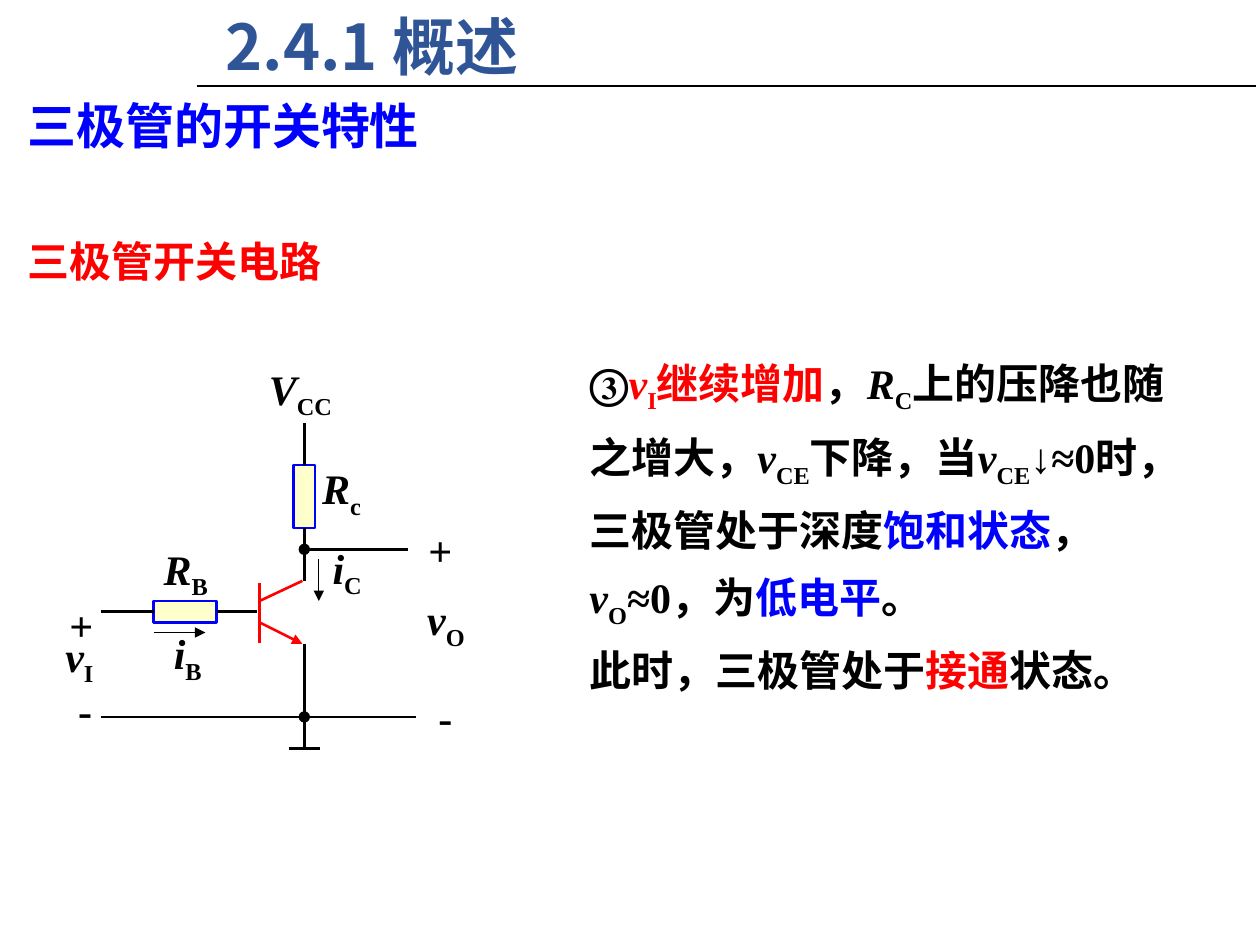
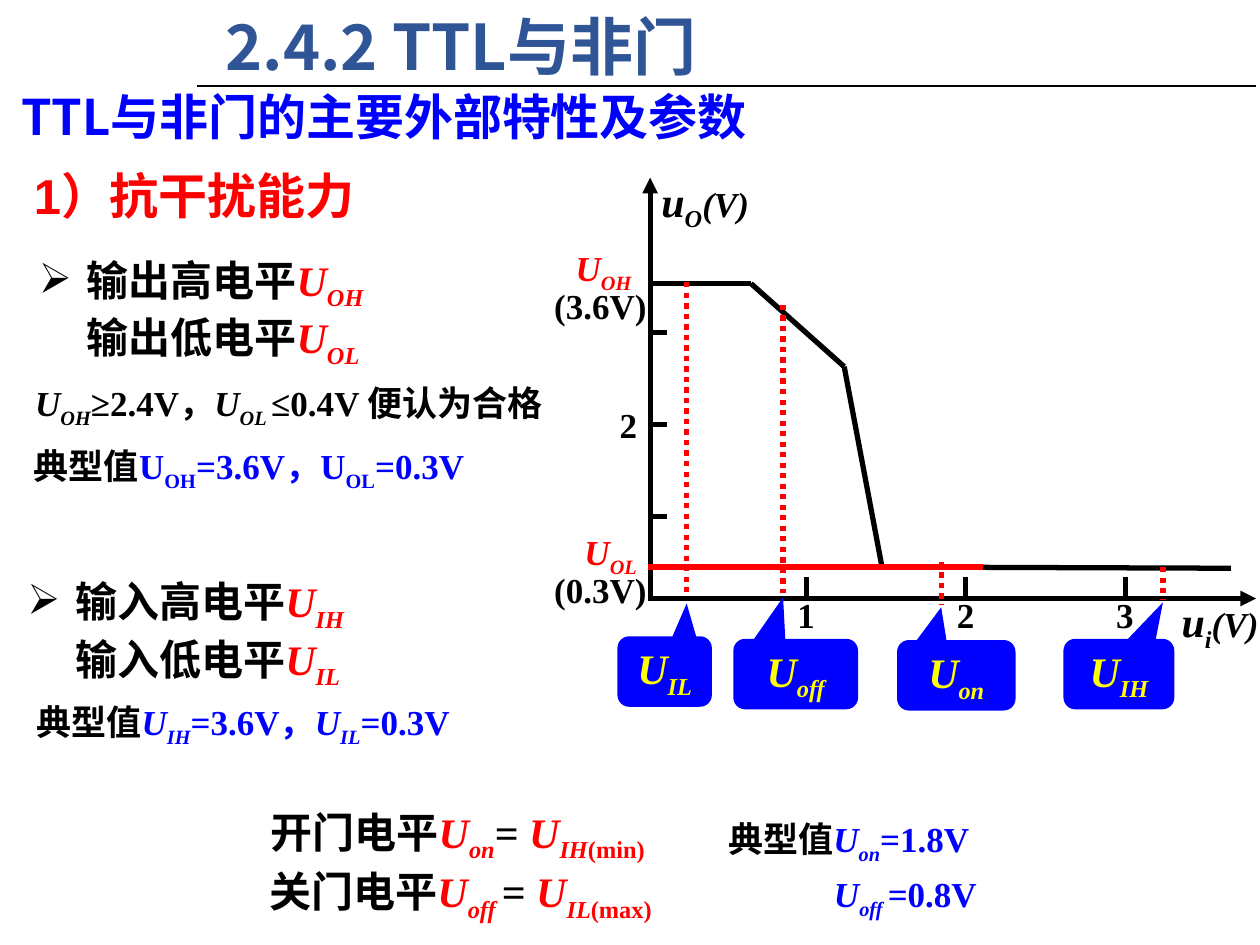
from itertools import groupby

from lxml import etree
from pptx import Presentation
from pptx import util as u
from pptx.dml.color import RGBColor
from pptx.enum import dml, shapes, text
from pptx.oxml.ns import qn

BLACK, RED, BLUE, YELLOW = "000000", "FF0000", "0000FF", "FFFF00"
TITLE_BLUE, CREAM = "2F5597", "FFFFCC"
SANS, SERIF, ARIAL = "Noto Sans CJK SC", "Times New Roman", "Arial"
COLUMNS, ROWS = 100, 75  # the slide grid; every length below is in its cells
CELL = u.Inches(0.1)
ACCENTS = {"<": RED, "{": BLUE, ">": None, "}": None}
MARKS = "*_" + "".join(ACCENTS)


def cells(*lengths):
    return [round(length * CELL) for length in lengths]


def colour(hex_string):
    return RGBColor.from_string(hex_string)


def add_child(parent, tag, **attributes):
    return etree.SubElement(parent, qn(tag), attributes)


def add_runs(paragraph, marked):
    """Marks: *italic*, _subscript_, <red>, {blue}."""
    italic = subscript = False
    accent = None
    for is_mark, group in groupby(marked, lambda letter: letter in MARKS):
        letters = "".join(group)
        if not is_mark:
            run = paragraph.add_run()
            run.text = letters
            if italic:
                run.font.italic = True
            if accent:
                run.font.color.rgb = colour(accent)
            if subscript:
                run._r.get_or_add_rPr().set("baseline", "-25000")
            continue
        for mark in letters:
            if mark == "*":
                italic = not italic
            elif mark == "_":
                subscript = not subscript
            else:
                accent = ACCENTS[mark]


def style_paragraph(paragraph, size, ink, font):
    paragraph.font.size = u.Pt(size)
    paragraph.font.bold = True
    paragraph.font.name = font
    paragraph.font.color.rgb = colour(ink)
    add_child(paragraph.font._element, "a:ea", typeface=SANS)


def indent(paragraph, left, bullet=None):
    properties = paragraph._p.get_or_add_pPr()
    margin = cells(left)[0]
    properties.set("marL", str(margin))
    if bullet:
        properties.set("indent", str(-margin))
        add_child(properties, "a:buChar", char=bullet)


def add_text(slide, box, *lines, size=24, ink=BLACK, font=SERIF, middle=False,
             centred=False, wrap=True, spacing=None, gap=0, indents=(), bullet=None):
    """One paragraph per line; indents pairs with lines, the first taking the bullet."""
    frame = slide.shapes.add_textbox(*cells(*box)).text_frame
    frame.word_wrap = wrap
    if middle:
        frame.vertical_anchor = text.MSO_ANCHOR.MIDDLE
    for index, line in enumerate(lines):
        paragraph = frame.add_paragraph() if index else frame.paragraphs[0]
        if centred:
            paragraph.alignment = text.PP_ALIGN.CENTER
        if spacing:
            paragraph.line_spacing = spacing
        if index and gap:
            paragraph.space_before = u.Pt(gap)
        if indents:
            indent(paragraph, indents[index], None if index else bullet)
        add_runs(paragraph, line)
        style_paragraph(paragraph, size, ink, font)


def add_line(slide, start, end, ink=BLACK, width=1.5, arrow=False, dotted=False):
    line = slide.shapes.add_connector(shapes.MSO_CONNECTOR.STRAIGHT, *cells(*start, *end))
    line.line.color.rgb = colour(ink)
    line.line.width = u.Pt(width)
    if dotted:
        line.line.dash_style = dml.MSO_LINE.ROUND_DOT
    if arrow:
        add_child(line.line._get_or_add_ln(), "a:tailEnd", type="triangle")
    add_child(line._element.spPr, "a:effectLst")
    return line


def add_preset(slide, kind, box, fill, ink=None, width=1.5):
    shape = slide.shapes.add_shape(kind, *cells(*box))
    shape.shadow.inherit = False
    shape.fill.solid()
    shape.fill.fore_color.rgb = colour(fill)
    if ink:
        shape.line.color.rgb = colour(ink)
        shape.line.width = u.Pt(width)
    else:
        shape.line.fill.background()
    return shape


def add_titled_slide(presentation, title):
    slide = presentation.slides.add_slide(presentation.slide_layouts[6])
    add_line(slide, (15.6, 6.8), (99.7, 6.8), width=1.25)
    add_text(slide, (16.9, 0.1, 82.8, 7.1), title, size=36, ink=TITLE_BLUE, font=SANS)
    return slide


def add_symbol(slide, left, top, width, symbol):
    add_text(slide, (left, top, width, 5), symbol, middle=True, centred=True, wrap=False)


def add_resistor(slide, box):
    return add_preset(slide, shapes.MSO_SHAPE.RECTANGLE, box, CREAM, BLUE)


def add_node(slide, x, y):
    add_preset(slide, shapes.MSO_SHAPE.OVAL, (x - 0.4, y - 0.4, 0.8, 0.8), BLACK, BLACK, 0.75)


def draw_switch_circuit(slide):
    main_x, base_x, input_y, output_y, ground_y = 24.15, 20.6, 48.55, 43.6, 56.9
    collector_resistor = add_resistor(slide, (23.3, 36.9, 1.7, 5))
    base_resistor = add_resistor(slide, (12.2, 47.7, 5, 1.7))
    for resistor, side, start, end in (
        (collector_resistor, 0, (main_x, 36.9), (main_x, 33.6)),
        (collector_resistor, 2, (main_x, 41.9), (main_x, 46.1)),
        (base_resistor, 1, (12.2, input_y), (8, input_y)),
        (base_resistor, 3, (17.2, input_y), (20.4, input_y)),
    ):
        add_line(slide, start, end).begin_connect(resistor, side)
    for start, end in (
        ((main_x, 51.1), (main_x, 59.4)),
        ((8, ground_y), (33, ground_y)),
        ((main_x, output_y), (32.4, output_y)),
        ((22.9, 59.4), (25.4, 59.4)),
    ):
        add_line(slide, start, end)
    add_line(slide, (base_x, 46.3), (base_x, 51), RED)
    add_line(slide, (base_x, 47.7), (24, 46.1), RED)
    add_line(slide, (base_x, 49.4), (24, 51.1), RED, arrow=True)
    add_line(slide, (12.2, 50.2), (16.3, 50.2), width=0.75, arrow=True)
    add_line(slide, (25.3, 44.4), (25.3, 47.7), width=0.75, arrow=True)
    for node_y in (output_y, ground_y):
        add_node(slide, main_x, node_y)
    for left, top, width, symbol in (
        (2, 49.8, 8.6, "*v*_I_"), (31.1, 46.9, 8.6, "*v*_O_"),
        (19.7, 28.6, 8.3, "*V*_CC_"), (24.5, 36.5, 5.2, "*R*_c_"),
        (11.9, 42.9, 5.7, "*R*_B_"), (25.3, 42.8, 4.5, "*i*_C_"),
        (12.7, 49.6, 4.4, "*i*_B_"), (4.5, 47.1, 3.9, "+"),
        (5.2, 53.8, 3.1, "-"), (33, 41.1, 3.9, "+"), (33.8, 54.4, 3.1, "-"),
    ):
        add_symbol(slide, left, top, width, symbol)


def add_level_callout(slide, symbol, box, marker_x, marker_top, marker_bottom, tip_y):
    """A dotted marker and a callout whose tip points at it."""
    add_line(slide, (marker_x, marker_top), (marker_x, marker_bottom), RED, 3, dotted=True)
    callout = add_preset(slide, shapes.MSO_SHAPE.ROUNDED_RECTANGULAR_CALLOUT, box, BLUE)
    left, top, width, height = box
    callout.adjustments[0] = (marker_x - left) / width - 0.5
    callout.adjustments[1] = (tip_y - top) / height - 0.5
    frame = callout.text_frame
    frame.vertical_anchor = text.MSO_ANCHOR.MIDDLE
    paragraph = frame.paragraphs[0]
    paragraph.alignment = text.PP_ALIGN.CENTER
    add_runs(paragraph, symbol)
    style_paragraph(paragraph, 24, YELLOW, SERIF)


def draw_transfer_curve(slide):
    axis_x, axis_y, low_y, high_y = 51.6, 47.5, 45, 22.5
    add_line(slide, (axis_x, 47.7), (axis_x, 14.1), width=3, arrow=True)
    add_line(slide, (51.4, axis_y), (99.7, axis_y), width=3, arrow=True)
    for volts in (1, 2, 3):
        tick_x, tick_y = 51.35 + 12.65 * volts, 48.3 - 7.3 * volts
        add_line(slide, (axis_x, tick_y), (52.9, tick_y), width=3)
        add_line(slide, (tick_x, axis_y), (tick_x, 45.8), width=3)
        add_text(slide, (tick_x - 1.7, 46.6, 3.9, 4.3), str(volts), size=20)
    curve = [(51.4, high_y), (59.6, high_y), (67, 29.1), (70, low_y), (97.7, 45.1)]
    for start, end in zip(curve, curve[1:]):
        add_line(slide, start, end, width=3)
    add_line(slide, (51.4, low_y), (78, low_y), RED, 3)
    for box, label in (
        ((44.7, 19.1, 7.5, 4.3), "<*U_OH_*>"),
        ((45.4, 41.6, 6.8, 4.3), "<*U_OL_*>"),
        ((43, 22.1, 10.8, 4.3), "(3.6V)"),
        ((43, 44.6, 10, 4.3), "(0.3V)"),
        ((48.2, 31.5, 3.9, 4.3), "2"),
    ):
        add_text(slide, box, label, size=20)
    for box, name, subscript in (((51.5, 13.4, 11.9, 5.1), "u", "O"),
                                 ((92.8, 46.8, 9, 5.1), "u", "i")):
        add_axis_name(slide, box, f"*{name}_{subscript}_(V)*")
    for callout in (
        ("*U_IH_*", (84.4, 50.7, 8.8, 5.6), 92.3, 45, 47.6, 47.8),
        ("*U_IL_*", (49, 50.5, 7.5, 5.6), 54.5, 22.4, 47.1, 47.9),
        ("*U_on_*", (71.2, 50.8, 9.4, 5.6), 74.7, 44.6, 48, 48.2),
        ("*U_off_*", (58.2, 50.7, 9.9, 5.6), 62.15, 24.2, 47.1, 47.4),
    ):
        add_level_callout(slide, *callout)


def add_axis_name(slide, box, name):
    """The unit, the last run, is smaller than the symbol."""
    add_text(slide, box, name)
    unit = slide.shapes[-1].text_frame.paragraphs[0].runs[-1]
    unit.font.size = u.Pt(20)


def build_switch_slide(presentation):
    slide = add_titled_slide(presentation, "2.4.1 概述")
    add_text(slide, (1.2, 7.1, 48.3, 5.7), "三极管的开关特性", size=28, ink=BLUE, font=SANS)
    add_text(slide, (1.2, 18.2, 32.5, 5), "三极管开关电路", ink=RED, font=SANS)
    draw_switch_circuit(slide)
    add_text(
        slide, (45.8, 26.5, 50.6, 27.3),
        "③<*v*_I_继续增加>，*R*_C_上的压降也随之增大，*v*_CE_下降，当*v*_CE_↓≈0时，"
        "三极管处于深度{饱和状态}， *v*_O_≈0，为{低电平}。",
        "此时，三极管处于<接通>状态。", spacing=1.3)


def build_gate_slide(presentation):
    slide = add_titled_slide(presentation, "2.4.2 TTL与非门")
    add_text(slide, (0.7, 6.4, 93, 5.7), "TTL与非门的主要外部特性及参数",
             size=28, ink=BLUE, font=SANS)
    add_text(slide, (1.7, 12.2, 63.7, 6.6), "1）抗干扰能力",
             size=28, ink=RED, font=ARIAL, middle=True)
    for box, side, letter in (((2.1, 19.7, 37, 9.1), "出", "O"),
                              ((1.2, 45.2, 37, 9.1), "入", "I")):
        add_text(slide, box, f"输{side}高电平<*U_{letter}H_*>", f"输{side}低电平<*U_{letter}L_*>",
                 indents=(3.8, 3.8), bullet="➢")
    for box, note in (
        ((1.8, 29.8, 60, 4.4), "*U_OH_*≥2.4V，*U_OL _*≤0.4V 便认为合格"),
        ((1.7, 34.8, 43.1, 4.4), "典型值{U_OH_=3.6V，U_OL_=0.3V}"),
        ((1.9, 55.1, 42.7, 4.4), "典型值{*U_IH_*=3.6V，*U_IL_*=0.3V}"),
    ):
        add_text(slide, box, note, size=20)
    add_text(slide, (20.5, 63.5, 37.5, 5), "开门电平<*U_on_*>= <*U_IH_*_(min)_>")
    add_text(slide, (20.4, 68.2, 37.5, 5), "关门电平<*U_off _*>= <*U_IL_*_(max)_>")
    add_text(slide, (56.8, 64.4, 27.5, 8.4), "典型值{*U_on_*=1.8V}", "{*U_off _*=0.8V}",
             size=20, gap=4, indents=(0, 8.4))
    draw_transfer_curve(slide)


def main():
    presentation = Presentation()
    presentation.slide_width, presentation.slide_height = cells(COLUMNS, ROWS)
    build_switch_slide(presentation)
    build_gate_slide(presentation)
    presentation.save("out.pptx")


if __name__ == "__main__":
    main()
